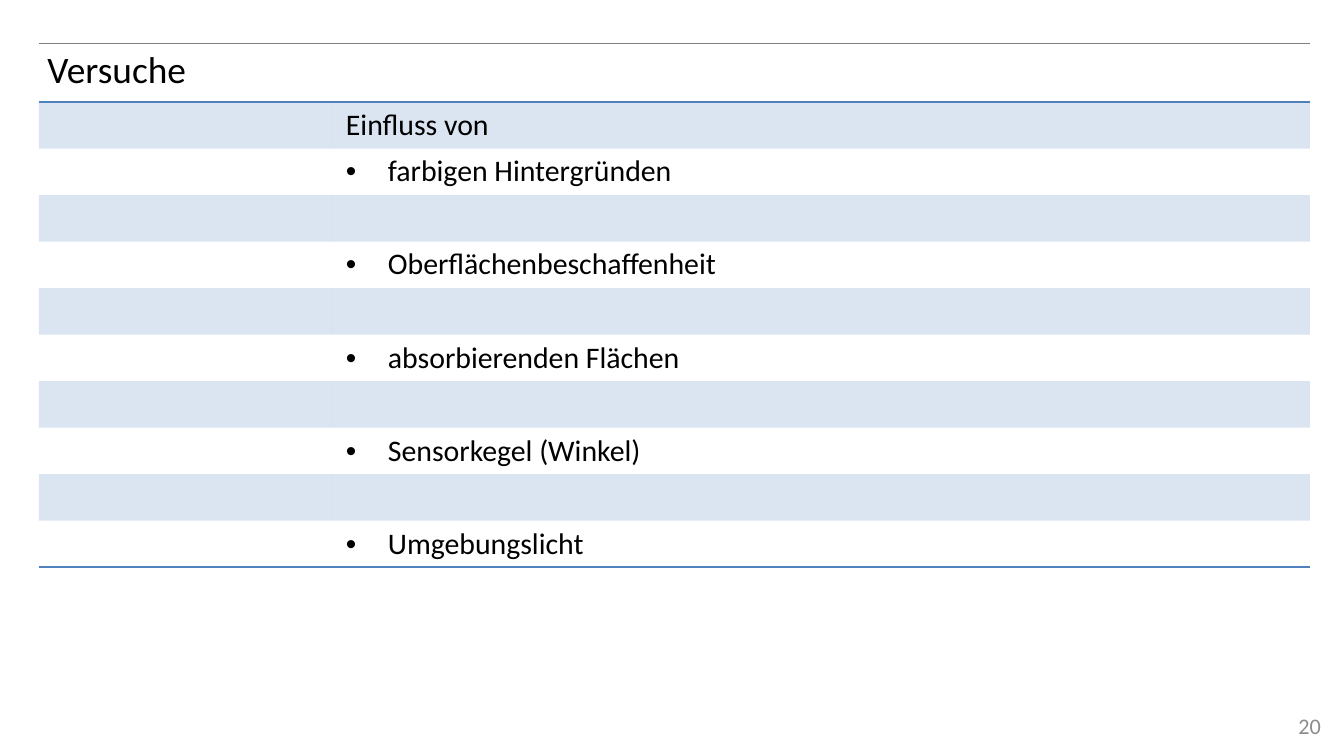
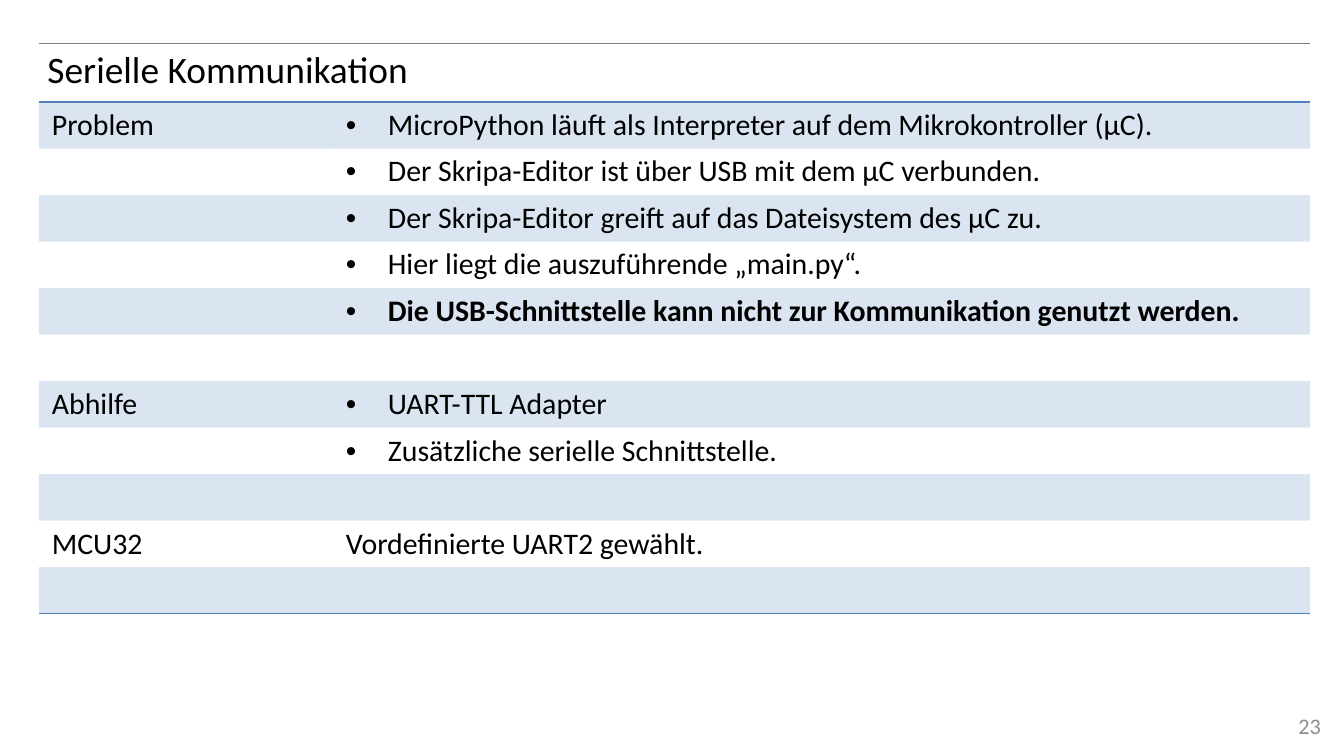
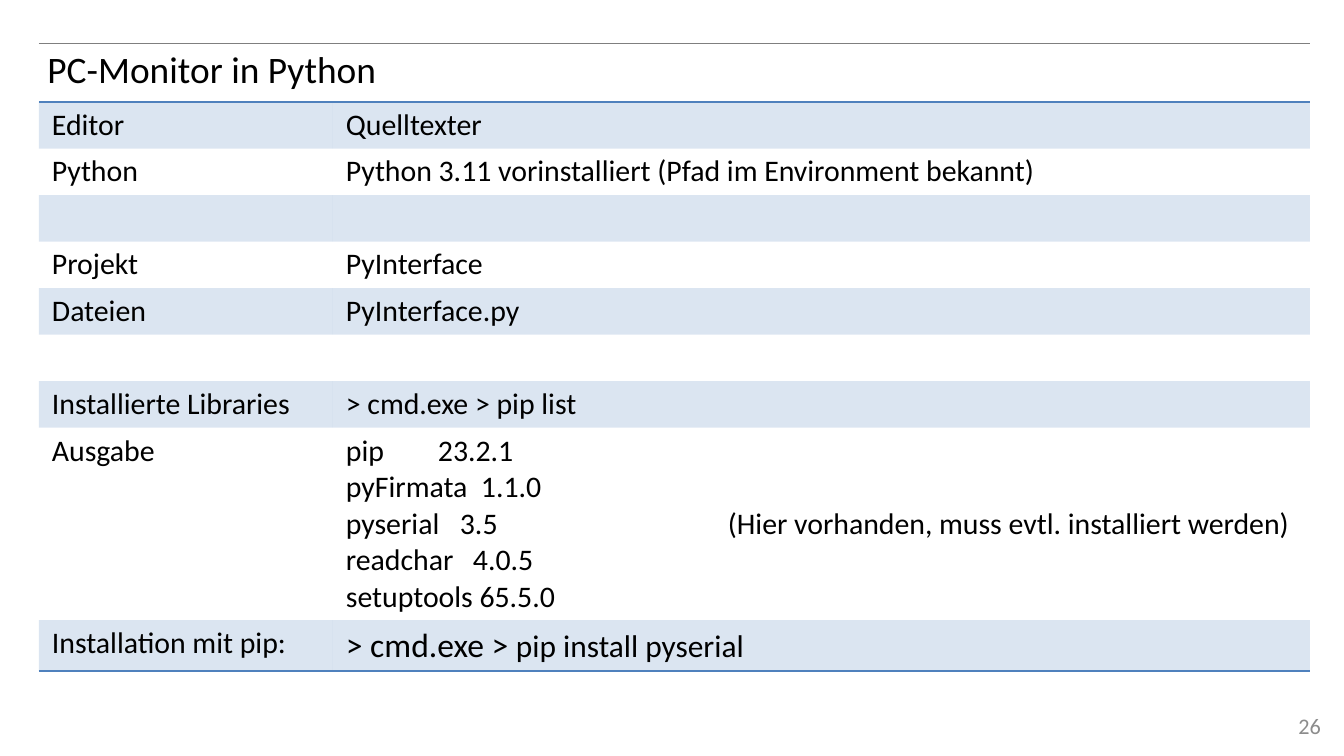
from dataclasses import dataclass

from lxml import etree
from pptx import Presentation
from pptx import util as u
from pptx.dml.color import RGBColor
from pptx.enum import text
from pptx.oxml.ns import qn

EMU_PER_PX = 914400 / 134.4
FONT = "Calibri"
BLACK, GREY, RULE, BLUE = "000000", "8C8C8C", "7F7F7F", "4F81BD"
BODY_SIZE = 16
NO_GRID_STYLE = "{2D5ABB26-0587-4C30-8999-92F81FD0307C}"


@dataclass
class Line:
    """One paragraph of a table cell."""
    words: str
    size: float = BODY_SIZE
    bold: bool = False
    bullet: bool = False
    stops: tuple = ()
    tail: str = ""
    tail_size: float = BODY_SIZE


def px(length):
    """Turn px into EMU."""
    return u.Emu(round(length * EMU_PER_PX))


def color(value):
    """Turn a hex string into a colour."""
    return RGBColor.from_string(value)


def add_span(para, words, size, ink=BLACK, bold=False):
    """Add one formatted run."""
    span = para.add_run()
    span.text = words
    span.font.name = FONT
    span.font.size = u.Pt(size)
    span.font.bold = bold
    span.font.color.rgb = color(ink)


def add_bullet(para):
    """Give a paragraph a hanging bullet."""
    props = para._p.get_or_add_pPr()
    props.set("marL", str(px(42)))
    props.set("indent", str(-px(42)))
    etree.SubElement(props, qn("a:buFont"), typeface="Arial")
    etree.SubElement(props, qn("a:buChar"), char="•")


def add_tab_stops(para, stops):
    """Set left tab stops on a paragraph."""
    tabs = etree.SubElement(para._p.get_or_add_pPr(), qn("a:tabLst"))
    for stop in stops:
        etree.SubElement(tabs, qn("a:tab"), pos=str(px(stop)), algn="l")


def add_border(cell, side, ink, width):
    """Draw one horizontal edge of a cell."""
    edge = etree.Element(qn(f"a:ln{side}"), w=str(u.Pt(width)))
    fill = etree.SubElement(edge, qn("a:solidFill"))
    etree.SubElement(fill, qn("a:srgbClr"), val=ink)
    cell._tc.get_or_add_tcPr().insert(0, edge)


def shade_cell(cell, shaded):
    """Fill a cell with pale blue or leave it clear."""
    if not shaded:
        cell.fill.background()
        return
    cell.fill.solid()
    cell.fill.fore_color.rgb = color(BLUE)
    tint = cell._tc.tcPr.find(".//" + qn("a:srgbClr"))
    etree.SubElement(tint, qn("a:alpha"), val="20000")


def fill_cell(cell, lines):
    """Write lines into a cell, keeping the text height when it is empty."""
    cell.margin_left = cell.margin_right = px(13)
    cell.margin_top = cell.margin_bottom = px(5)
    frame = cell.text_frame
    for index, line in enumerate(lines):
        para = frame.add_paragraph() if index else frame.paragraphs[0]
        if line.bullet:
            add_bullet(para)
        if line.stops:
            add_tab_stops(para, line.stops)
        add_span(para, line.words, line.size, bold=line.bold)
        if line.tail:
            add_span(para, line.tail, line.tail_size)
    if not lines:
        etree.SubElement(frame.paragraphs[0]._p, qn("a:endParaRPr"), sz=str(BODY_SIZE * 100))


def add_banded_table(page, rows, height):
    """Add the two-column table with an empty heading row."""
    frame = page.shapes.add_table(len(rows) + 1, 2, px(39), px(43), px(1271), px(height))
    table = frame.table
    table._tbl.tblPr.find(qn("a:tableStyleId")).text = NO_GRID_STYLE
    table.first_row = table.horz_banding = False
    table.columns[0].width, table.columns[1].width = px(294), px(977)
    for index, row in enumerate(table.rows):
        row.height = px(40 if index else 59)
    frame.height = px(height)
    for cell in table.rows[0].cells:
        shade_cell(cell, False)
        add_border(cell, "B", BLUE, 1)
        add_border(cell, "T", RULE, 0.5)
    table.cell(0, 0).merge(table.cell(0, 1))
    for index, (label, lines) in enumerate(rows, 1):
        for column, content in enumerate(([Line(label)] if label else [], lines)):
            cell = table.cell(index, column)
            fill_cell(cell, content)
            shade_cell(cell, index % 2 == 1)
            if index == len(rows):
                add_border(cell, "B", BLUE, 1)


def place(box, left, top, width, height):
    """Set the frame of a box."""
    box.left, box.top, box.width, box.height = map(px, (left, top, width, height))


def write_box(box, words, size, ink, align):
    """Write one vertically centred line into a box."""
    frame = box.text_frame
    frame.word_wrap = True
    frame.auto_size = text.MSO_AUTO_SIZE.NONE
    frame.vertical_anchor = text.MSO_ANCHOR.MIDDLE
    para = frame.paragraphs[0]
    para.alignment = align
    add_span(para, words, size, ink)


def add_page(deck, title, number, rows, height):
    """Add a slide with title, table and page number."""
    page = deck.slides.add_slide(deck.slide_layouts[5])
    add_banded_table(page, rows, height)
    box = page.shapes.add_textbox(px(1021), px(706), px(313), px(40))
    write_box(box, number, 11.9, GREY, text.PP_ALIGN.RIGHT)
    heading = page.shapes.title
    place(heading, 34, 43, 1275, 52)
    write_box(heading, title, 20, BLACK, text.PP_ALIGN.LEFT)


def point(words, bold=False):
    """Return cell content of one bullet."""
    return [Line(words, bold=bold, bullet=True)]


def plain(words):
    """Return cell content of one plain line."""
    return [Line(words)]


def experiment_rows():
    """List the influences, with an empty row between them."""
    topics = ["farbigen Hintergründen", "Oberflächenbeschaffenheit", "absorbierenden Flächen",
              "Sensorkegel (Winkel)", "Umgebungslicht"]
    rows = [("", plain("Einfluss von"))]
    for topic in topics:
        rows += [("", point(topic)), ("", [])]
    return rows[:-1]


SERIAL_ROWS = [
    ("Problem", point("MicroPython läuft als Interpreter auf dem Mikrokontroller (µC).")),
    ("", point("Der Skripa-Editor ist über USB mit dem µC verbunden.")),
    ("", point("Der Skripa-Editor greift auf das Dateisystem des µC zu.")),
    ("", point("Hier liegt die auszuführende „main.py“.")),
    ("", point("Die USB-Schnittstelle kann nicht zur Kommunikation genutzt werden.", bold=True)),
    ("", []),
    ("Abhilfe", point("UART-TTL Adapter")),
    ("", point("Zusätzliche serielle Schnittstelle.")),
    ("", []),
    ("MCU32", plain("Vordefinierte UART2 gewählt.")),
    ("", []),
]

MONITOR_ROWS = [
    ("Editor", plain("Quelltexter")),
    ("Python", plain("Python 3.11 vorinstalliert (Pfad im Environment bekannt)")),
    ("", []),
    ("Projekt", plain("PyInterface")),
    ("Dateien", plain("PyInterface.py")),
    ("", []),
    ("Installierte Libraries", plain("> cmd.exe > pip list")),
    ("Ausgabe", [
        Line("pip\t23.2.1", stops=(92,)),
        Line("pyFirmata\t1.1.0", stops=(135,)),
        Line("pyserial\t3.5\t(Hier vorhanden, muss evtl. installiert werden)", stops=(114, 382)),
        Line("readchar\t4.0.5", stops=(127,)),
        Line("setuptools 65.5.0"),
    ]),
    ("Installation mit pip:",
     [Line("> cmd.exe > ", size=18, tail="pip install pyserial", tail_size=16.8)]),
]


def main():
    """Build and save the deck."""
    deck = Presentation()
    deck.slide_width, deck.slide_height = px(1344), px(756)
    add_page(deck, "Versuche", "20", experiment_rows(), 517)
    add_page(deck, "Serielle Kommunikation", "23", SERIAL_ROWS, 563)
    add_page(deck, "PC-Monitor in Python", "26", MONITOR_ROWS, 620)
    deck.save("out.pptx")


if __name__ == "__main__":
    main()
